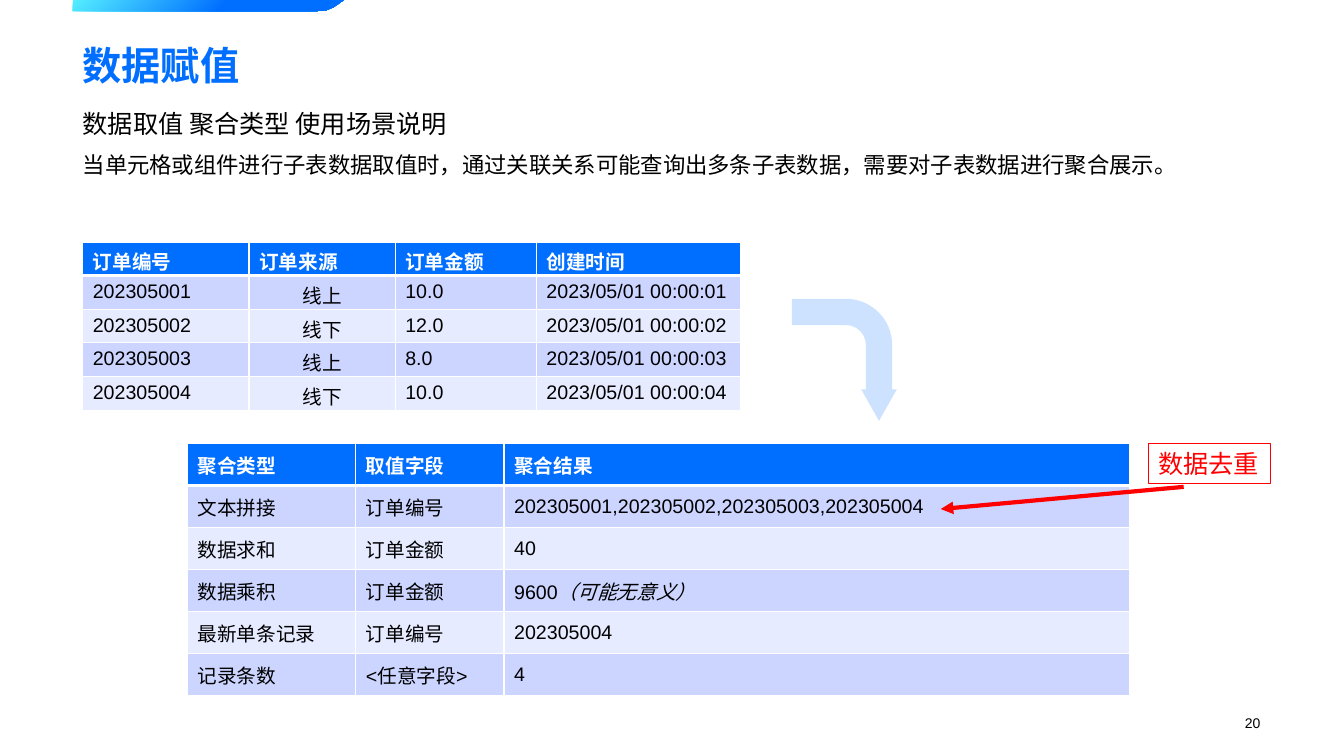
from lxml import etree
from pptx import Presentation
from pptx import util as u
from pptx.dml.color import RGBColor
from pptx.enum import shapes, text
from pptx.oxml import ns

BLUE = RGBColor(0x00, 0x6E, 0xFF)
CYAN = RGBColor(0x55, 0xEE, 0xFF)
PALE_BLUE = RGBColor(0xCC, 0xE2, 0xFF)
BAND_DARK = RGBColor(0xCC, 0xD5, 0xFF)
BAND_LIGHT = RGBColor(0xE7, 0xEB, 0xFF)
RED = RGBColor(0xFF, 0x00, 0x00)
BLACK = RGBColor(0x00, 0x00, 0x00)
WHITE = RGBColor(0xFF, 0xFF, 0xFF)

LATIN_FONT = "Arial"
CJK_FONT = "Noto Sans CJK SC"

ORDER_FIELDS = ["订单编号", "订单来源", "订单金额", "创建时间"]
ORDERS = [ORDER_FIELDS] + [
    [f"20230500{number}", source, amount, f"2023/05/01 00:00:0{number}"]
    for number, (source, amount) in enumerate(
        [("线上", "10.0"), ("线下", "12.0"), ("线上", "8.0"), ("线下", "10.0")], 1)
]
AGGREGATES = [
    ["聚合类型", "取值字段", "聚合结果"],
    ["文本拼接", "订单编号", "202305001,202305002,202305003,202305004"],
    ["数据求和", "订单金额", "40"],
    ["数据乘积", "订单金额", "9600"],
    ["最新单条记录", "订单编号", "202305004"],
    ["记录条数", "<任意字段>", "4"],
]


def format_run(run, size, color=BLACK, bold=False, italic=False, font=LATIN_FONT):
    run.font.size = u.Pt(size)
    run.font.color.rgb = color
    run.font.bold = bold
    run.font.italic = italic
    run.font.name = font
    east_asian = etree.Element(ns.qn("a:ea"), typeface=CJK_FONT)
    run.font._element.find(ns.qn("a:latin")).addnext(east_asian)


def move(shape, left, top, width, height):
    shape.left, shape.top = u.Inches(left), u.Inches(top)
    shape.width, shape.height = u.Inches(width), u.Inches(height)


def add_corner_band(slide, left, top, width, height):
    right, bottom = left + width, top + height
    builder = slide.shapes.build_freeform(u.Inches(left), u.Inches(top), scale=1)
    outline = [(right, top), (right - 0.1, bottom - 0.04), (right - 0.17, bottom - 0.01),
               (right - 0.27, bottom), (left, bottom)]
    builder.add_line_segments([(u.Inches(x), u.Inches(y)) for x, y in outline])
    band = builder.convert_to_shape()
    band.shadow.inherit = False
    band.line.fill.background()
    band.fill.gradient()
    band.fill.gradient_angle = 315
    for stop, position, color in zip(band.fill.gradient_stops, (0, 0.56), (CYAN, BLUE)):
        stop.position = position
        stop.color.rgb = color


def add_title(slide, left, top, width, height):
    title = slide.shapes.title
    move(title, left, top, width, height)
    frame = title.text_frame
    frame.text = "数据赋值"
    frame.auto_size = text.MSO_AUTO_SIZE.NONE
    frame.vertical_anchor = text.MSO_ANCHOR.MIDDLE
    frame.paragraphs[0].alignment = text.PP_ALIGN.LEFT
    format_run(frame.paragraphs[0].runs[0], 28, BLUE, bold=True)


def add_introduction(slide, left, top, width, height):
    body = slide.placeholders[1]
    move(body, left, top, width, height)
    frame = body.text_frame
    frame.text = ("数据取值 聚合类型 使用场景说明\n"
                  "当单元格或组件进行子表数据取值时，通过关联关系可能查询出多条子表数据，需要对子表数据进行聚合展示。")
    frame.auto_size = text.MSO_AUTO_SIZE.NONE
    for paragraph, size, gap in zip(frame.paragraphs, (18, 16), (0, 9)):
        paragraph.space_before = u.Pt(gap)
        properties = paragraph._p.get_or_add_pPr()
        properties.set("marL", "0")
        properties.set("indent", "0")
        etree.SubElement(properties, ns.qn("a:buNone"))
        format_run(paragraph.runs[0], size)


def set_borders(cell, top, bottom):
    """Draw white cell borders; top and bottom are widths in points."""
    properties = cell._tc.get_or_add_tcPr()
    for index, (side, width) in enumerate([("L", 1), ("R", 1), ("T", top), ("B", bottom)]):
        line = etree.Element(ns.qn(f"a:ln{side}"), w=str(u.Pt(width)))
        fill = etree.SubElement(line, ns.qn("a:solidFill"))
        etree.SubElement(fill, ns.qn("a:srgbClr"), val=str(WHITE))
        properties.insert(index, line)


def add_data_table(slide, rows, left, top, column_widths, height, anchor):
    frame = slide.shapes.add_table(
        len(rows), len(column_widths), u.Inches(left), u.Inches(top),
        u.Inches(sum(column_widths)), u.Inches(height))
    table = frame.table
    for column, width in zip(table.columns, column_widths):
        column.width = u.Inches(width)
    for row_index, row in enumerate(rows):
        is_header = row_index == 0
        for column_index, value in enumerate(row):
            cell = table.cell(row_index, column_index)
            cell.text = value
            cell.vertical_anchor = anchor
            cell.fill.solid()
            cell.fill.fore_color.rgb = (
                BLUE if is_header else BAND_DARK if row_index % 2 else BAND_LIGHT)
            set_borders(cell, 3 if row_index == 1 else 1, 3 if is_header else 1)
            format_run(cell.text_frame.paragraphs[0].runs[0], 14,
                       WHITE if is_header else BLACK, bold=is_header,
                       font=CJK_FONT if value in ORDER_FIELDS else LATIN_FONT)
    return table


def add_order_table(slide, left, top):
    table = add_data_table(slide, ORDERS, left, top, [1.65, 1.45, 1.4, 2.03], 1.67,
                           text.MSO_ANCHOR.TOP)
    for cell in table.iter_cells():
        cell.margin_bottom = 0
    for row_index in range(1, len(ORDERS)):
        source = table.cell(row_index, 1).text_frame.paragraphs[0]
        source.alignment = text.PP_ALIGN.CENTER


def add_aggregate_table(slide, left, top):
    table = add_data_table(slide, AGGREGATES, left, top, [1.67, 1.47, 6.2], 2.5,
                           text.MSO_ANCHOR.MIDDLE)
    remark = table.cell(3, 2).text_frame.paragraphs[0].add_run()
    remark.text = "（可能无意义）"
    format_run(remark, 14, italic=True)


def add_bent_arrow(slide, left, top, width, height):
    arrow = slide.shapes.add_shape(
        shapes.MSO_SHAPE.BENT_ARROW, u.Inches(left), u.Inches(top),
        u.Inches(width), u.Inches(height))
    arrow.rotation = 90
    for index, value in enumerate((0.25, 0.17, 0.3, 0.44)):
        arrow.adjustments[index] = value
    arrow.shadow.inherit = False
    arrow.fill.solid()
    arrow.fill.fore_color.rgb = PALE_BLUE
    arrow.line.fill.background()


def add_callout(slide, left, top, width, height):
    """Add the boxed remark and its arrow to the joined order numbers."""
    box = slide.shapes.add_shape(
        shapes.MSO_SHAPE.RECTANGLE, u.Inches(left), u.Inches(top),
        u.Inches(width), u.Inches(height))
    box.shadow.inherit = False
    box.fill.background()
    box.line.color.rgb = RED
    box.line.width = u.Pt(0.75)
    box.text_frame.text = "数据去重"
    box.text_frame.word_wrap = False
    format_run(box.text_frame.paragraphs[0].runs[0], 18, RED)

    pointer = slide.shapes.add_connector(
        shapes.MSO_CONNECTOR.STRAIGHT, u.Inches(left + 0.35), u.Inches(top + 0.43),
        u.Inches(left - 2.06), u.Inches(top + 0.65))
    pointer.line.color.rgb = RED
    pointer.line.width = u.Pt(3)
    etree.SubElement(pointer.line._get_or_add_ln(), ns.qn("a:tailEnd"), type="triangle")
    etree.SubElement(pointer._element.spPr, ns.qn("a:effectLst"))


def add_page_number(slide, left, top, width, height):
    box = slide.shapes.add_textbox(
        u.Inches(left), u.Inches(top), u.Inches(width), u.Inches(height))
    box.text_frame.word_wrap = True
    box.text_frame.text = "20"
    paragraph = box.text_frame.paragraphs[0]
    paragraph.alignment = text.PP_ALIGN.RIGHT
    format_run(paragraph.runs[0], 10)


def main():
    presentation = Presentation()
    presentation.slide_width = u.Inches(13.33)
    presentation.slide_height = u.Inches(7.5)
    slide = presentation.slides.add_slide(presentation.slide_layouts[1])
    add_corner_band(slide, 0.72, 0, 2.69, 0.11)
    add_title(slide, 0.72, 0.36, 9.84, 0.57)
    add_introduction(slide, 0.72, 1.02, 12.37, 0.86)
    add_order_table(slide, 0.82, 2.4)
    add_aggregate_table(slide, 1.86, 4.4)
    add_bent_arrow(slide, 7.77, 3.05, 1.21, 1.04)
    add_callout(slide, 11.39, 4.4, 1.21, 0.4)
    add_page_number(slide, 9.69, 7.04, 2.91, 0.27)
    presentation.save("out.pptx")


if __name__ == "__main__":
    main()
